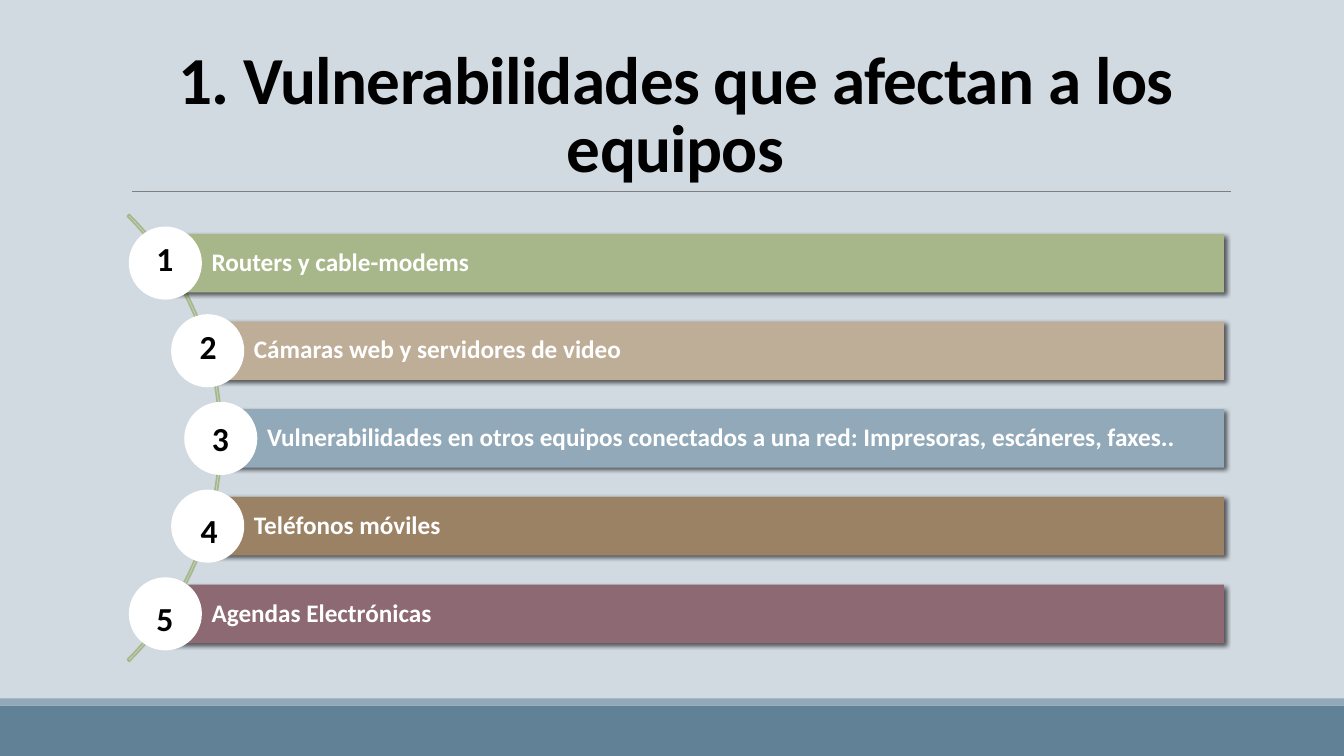
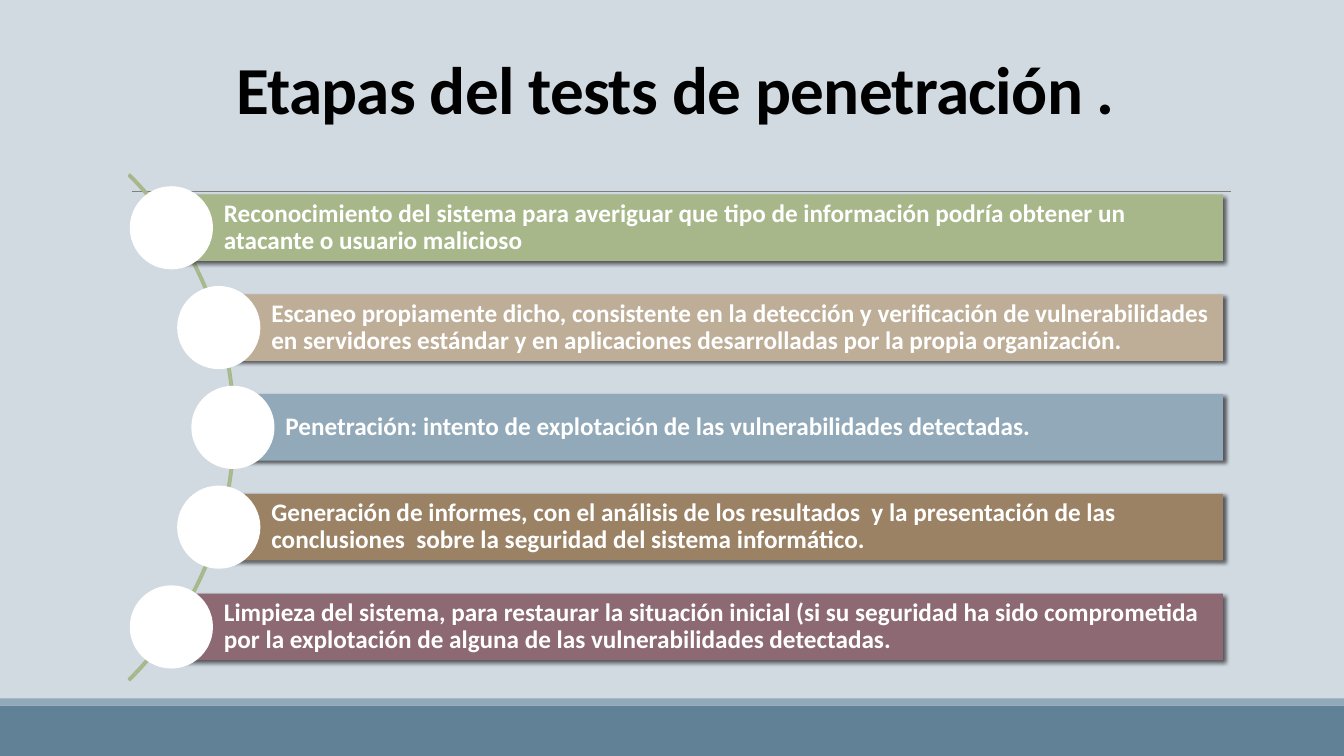
"""Build two slides of curved lists with a shared title, rule and footer."""
from lxml import etree
from pptx import Presentation
from pptx.dml.color import RGBColor
from pptx.enum.shapes import MSO_CONNECTOR, MSO_SHAPE
from pptx.enum.text import MSO_ANCHOR, PP_ALIGN
from pptx.oxml.ns import qn
from pptx.util import Inches, Pt

RECT, OVAL, ARC = MSO_SHAPE.RECTANGLE, MSO_SHAPE.OVAL, MSO_SHAPE.BLOCK_ARC
LINE = MSO_CONNECTOR.STRAIGHT
TOP, MID, LOW = MSO_ANCHOR.TOP, MSO_ANCHOR.MIDDLE, MSO_ANCHOR.BOTTOM
LEFT, MIDDLE = PP_ALIGN.LEFT, PP_ALIGN.CENTER

HEX = {"back": "D1D9E1", "foot": "618197", "strip": "92A9B9", "rule": "808080",
       "green": "A7B789", "sand": "BEAE98", "blue": "92A9B9", "brown": "9C8265",
       "plum": "8D6974", "white": "FFFFFF", "black": "000000"}
BARS = ["green", "sand", "blue", "brown", "plum"]
FONT = {"name": "Calibri", "bold": True}
TITLE = {"size": 48, "color": "black", "align": MIDDLE, "anchor": LOW, "lead": 0.85}
ITEM = {"size": 18, "color": "white", "align": LEFT, "anchor": MID, "lead": 0.9}
DIGIT = {"size": 24, "color": "black", "align": MIDDLE, "anchor": TOP, "lead": 1.0}

SLIDES = [
    {"title": "1. Vulnerabilidades que afectan a los equipos", "base": 1.9,
     "arc": (-4.07, 1.21, 6.27, 0.004), "mid": 4.35, "high": 0.58, "right": 12.14,
     "lefts": [1.64, 2.06, 2.19],
     "items": ["Routers y cable-modems",
               "Cámaras web y servidores de video",
               "Vulnerabilidades en otros equipos conectados a una red: "
               "Impresoras, escáneres, faxes..",
               "Teléfonos móviles",
               "Agendas Electrónicas"],
     "spots": [(1.39, 2.31, 0.49), (1.82, 3.18, 0.49), (1.88, 4.1, 0.61),
               (1.77, 5.01, 0.61), (1.33, 5.88, 0.61)]},
    {"title": "Etapas del tests de penetración .", "base": 1.32,
     "arc": (-4.77, 0.69, 7.1, 0.003), "mid": 4.24, "high": 0.66, "right": 12.13,
     "lefts": [1.7, 2.17, 2.31],
     "items": ["Reconocimiento del sistema para averiguar que tipo de información "
               "podría obtener un atacante o usuario malicioso",
               "Escaneo propiamente dicho, consistente en la detección y verificación "
               "de vulnerabilidades en servidores estándar y en aplicaciones "
               "desarrolladas por la propia organización.",
               "Penetración: intento de explotación de las vulnerabilidades detectadas.",
               "Generación de informes, con el análisis de los resultados  y la "
               "presentación de las conclusiones  sobre la seguridad del sistema "
               "informático.",
               "Limpieza del sistema, para restaurar la situación inicial (si su "
               "seguridad ha sido comprometida por la explotación de alguna de las "
               "vulnerabilidades detectadas."],
     "spots": []},
]


def tint(name):
    return RGBColor.from_string(HEX[name])


def add_shape(slide, kind, box, fill=None):
    shape = slide.shapes.add_shape(kind, *map(Inches, box))
    shape.shadow.inherit = False
    shape.line.fill.background()
    if fill:
        shape.fill.solid()
        shape.fill.fore_color.rgb = tint(fill)
    else:
        shape.fill.background()
    return shape


def add_shade(shape):
    effects = shape._element.spPr.find(qn("a:effectLst"))
    outer = etree.SubElement(effects, qn("a:outerShdw"), blurRad=str(Pt(3)),
                             dist=str(Pt(2)), dir=str(45 * 60000), rotWithShape="0")
    color = etree.SubElement(outer, qn("a:srgbClr"), val=HEX["black"])
    etree.SubElement(color, qn("a:alpha"), val="60000")


def set_text(shape, text, style):
    frame = shape.text_frame
    frame.word_wrap = True
    frame.vertical_anchor = style["anchor"]
    para = frame.paragraphs[0]
    para.alignment = style["align"]
    para.line_spacing = style["lead"]
    run = para.add_run()
    run.text = text
    for key, value in {**FONT, "size": Pt(style["size"])}.items():
        setattr(run.font, key, value)
    run.font.color.rgb = tint(style["color"])
    return run


def add_text(slide, box, text, style):
    return set_text(slide.shapes.add_textbox(*map(Inches, box)), text, style)


def add_frame(slide, title, base):
    add_shape(slide, RECT, (0, 7, 13.33, 0.5), "foot")
    add_shape(slide, RECT, (0, 6.93, 13.33, 0.07), "strip")
    rule = slide.shapes.add_connector(LINE, *map(Inches, (1.31, 1.9, 12.21, 1.9)))
    rule.line.color.rgb = tint("rule")
    rule.line.width = Pt(0.5)
    etree.SubElement(rule._element.spPr, qn("a:effectLst"))
    run = add_text(slide, (1.2, 0.31, 11, base - 0.31), title, TITLE)
    run._r.get_or_add_rPr().set("spc", "-50")


def add_arc(slide, left, top, size, thick):
    arc = add_shape(slide, ARC, (left, top, size, size))
    for slot, value in enumerate((189, 27, thick)):
        arc.adjustments[slot] = value
    arc.line.color.rgb = tint("green")
    arc.line.width = Pt(1.25)


def add_row(slide, left, mid, right, high, fill, text):
    bar = add_shape(slide, RECT, (left, mid - high / 2, right - left, high), fill)
    add_shade(bar)
    set_text(bar, text, ITEM)
    pads = {"left": 0.79 * high, "top": 0.05, "right": 0.05, "bottom": 0.05}
    for side, pad in pads.items():
        setattr(bar.text_frame, "margin_" + side, Inches(pad))
    disc = 1.25 * high
    add_shape(slide, OVAL, (left - disc / 2, mid - disc / 2, disc, disc), "white")


def add_list(slide, data):
    add_arc(slide, *data["arc"])
    high = data["high"]
    for row, (text, fill) in enumerate(zip(data["items"], BARS)):
        step = row - 2
        left = data["lefts"][2 - abs(step)]
        add_row(slide, left, data["mid"] + step * 1.5 * high, data["right"],
                high, fill, text)
    for count, (left, top, wide) in enumerate(data["spots"], 1):
        add_text(slide, (left, top, wide, 0.5), str(count), DIGIT)


def main():
    deck = Presentation()
    deck.slide_width, deck.slide_height = Inches(13.33), Inches(7.5)
    back = deck.slide_master.background.fill
    back.solid()
    back.fore_color.rgb = tint("back")
    for data in SLIDES:
        slide = deck.slides.add_slide(deck.slide_layouts[6])
        add_frame(slide, data["title"], data["base"])
        add_list(slide, data)
    deck.save("out.pptx")


if __name__ == "__main__":
    main()
